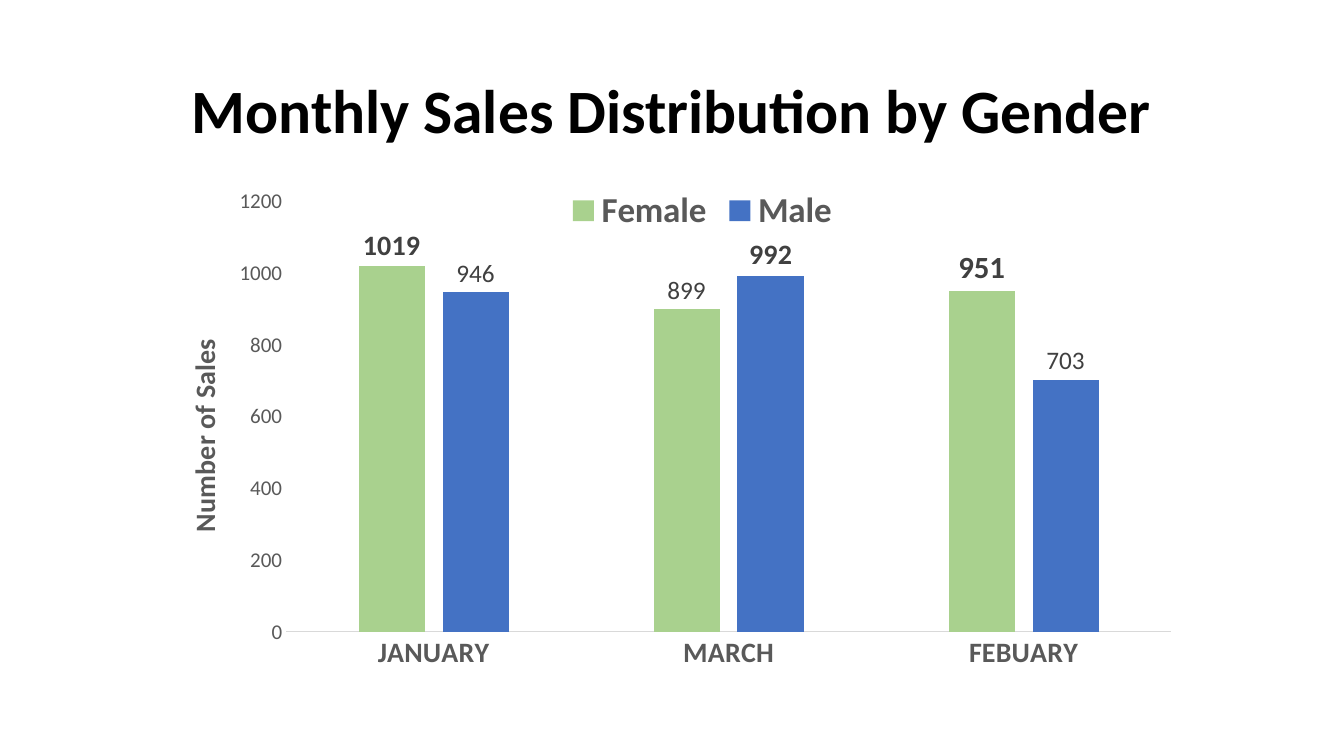
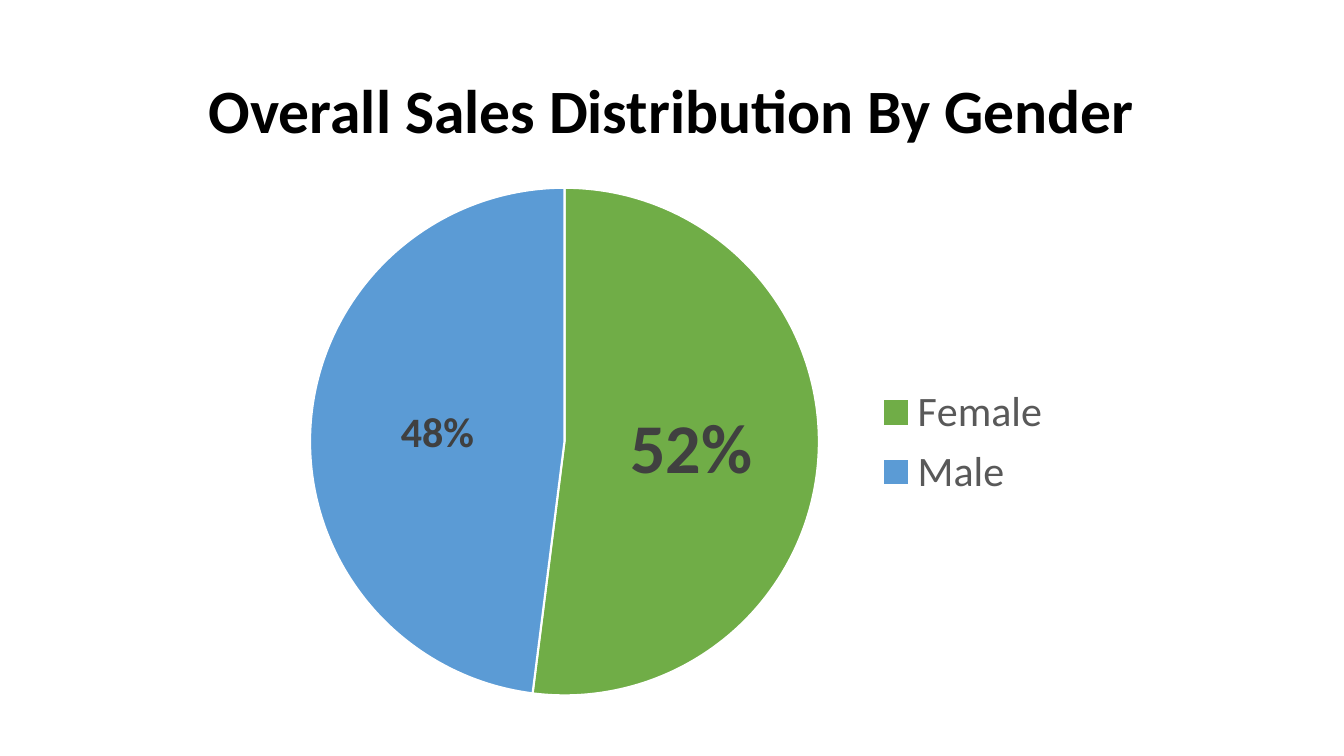
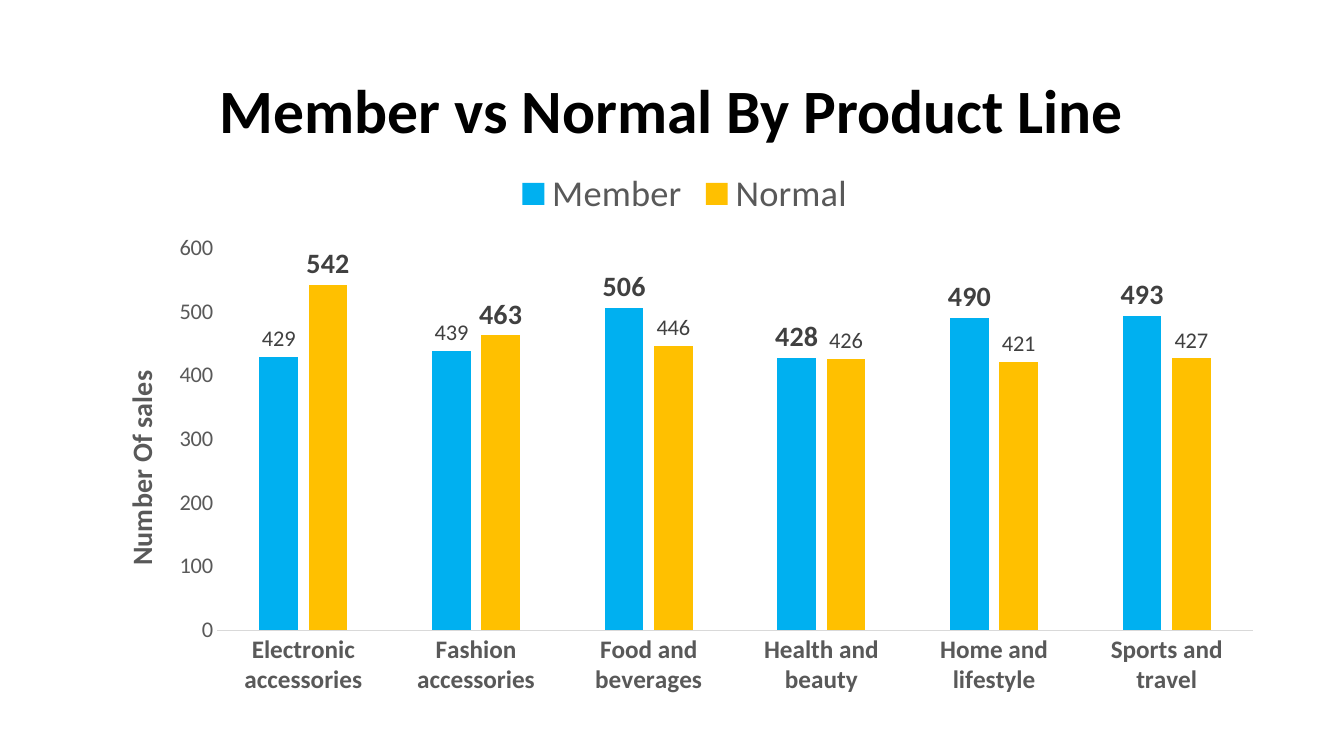
from dataclasses import dataclass

import pptx
import pptx.chart.data
import pptx.dml.color
import pptx.enum.chart
import pptx.enum.text
import pptx.oxml
import pptx.oxml.ns
import pptx.util

SLIDE_WIDTH = pptx.util.Inches(13.33)
SLIDE_HEIGHT = pptx.util.Inches(7.5)
CHART_TYPES = pptx.enum.chart.XL_CHART_TYPE
LABEL_POSITIONS = pptx.enum.chart.XL_LABEL_POSITION
LEGEND_POSITIONS = pptx.enum.chart.XL_LEGEND_POSITION


@dataclass(frozen=True)
class Theme:
    font: str = "Calibri"
    title: str = "000000"
    text: str = "595959"
    label: str = "404040"
    axis_line: str = "D9D9D9"
    slice_border: str = "FFFFFF"
    pale_green: str = "A9D18E"
    blue: str = "4472C4"
    green: str = "70AD47"
    sky: str = "5B9BD5"
    cyan: str = "00B0F0"
    amber: str = "FFC000"
    title_size: int = 44
    axis_title_size: int = 20
    pie_label_size: int = 30
    pie_highlight_size: int = 50


THEME = Theme()


@dataclass(frozen=True)
class ColumnSeries:
    name: str
    values: tuple
    color: str
    label_size: int
    highlights: dict  # point index -> size of its bold label


@dataclass(frozen=True)
class ColumnStyle:
    axis_title: str
    title_place: tuple
    plot_place: tuple
    maximum: int
    step: int
    category_size: int
    value_size: int
    legend_size: int
    legend_bold: bool


def rgb(color):
    return pptx.dml.color.RGBColor.from_string(color)


def style_font(font, size, color, bold=False):
    font.name = THEME.font
    font.size = pptx.util.Pt(size)
    font.bold = bold
    font.color.rgb = rgb(color)


def fill(format_, color):
    format_.fill.solid()
    format_.fill.fore_color.rgb = rgb(color)


def share_box(left, top, width, height):
    """Turn shares of the slide into lengths."""
    return (int(SLIDE_WIDTH * left), int(SLIDE_HEIGHT * top),
            int(SLIDE_WIDTH * width), int(SLIDE_HEIGHT * height))


def add_titled_slide(presentation, title):
    slide = presentation.slides.add_slide(presentation.slide_layouts[6])
    box = slide.shapes.add_textbox(*share_box(0.07, 0.053, 0.86, 0.193))
    frame = box.text_frame
    frame.word_wrap = True
    frame.vertical_anchor = pptx.enum.text.MSO_ANCHOR.MIDDLE
    paragraph = frame.paragraphs[0]
    paragraph.text = title
    paragraph.alignment = pptx.enum.text.PP_ALIGN.CENTER
    paragraph.line_spacing = 0.9
    style_font(paragraph.font, THEME.title_size, THEME.title, True)
    return slide


def place_in_chart(element, index, place, inner=False):
    """Fix a chart part by shares of the chart: x, y and optionally w, h."""
    for layout in element.findall(pptx.oxml.ns.qn("c:layout")):
        element.remove(layout)
    names = "xywh"[:len(place)]
    target = '<c:layoutTarget val="inner"/>' if inner else ""
    modes = "".join(f'<c:{name}Mode val="edge"/>' for name in "xy")
    sizes = "".join(f'<c:{name} val="{share}"/>' for name, share in zip(names, place))
    element.insert(index, pptx.oxml.parse_xml(
        f'<c:layout {pptx.oxml.ns.nsdecls("c")}><c:manualLayout>'
        f"{target}{modes}{sizes}</c:manualLayout></c:layout>"))


def add_chart(slide, kind, box, categories, series, plot_place):
    """Add a chart from (name, values) pairs."""
    data = pptx.chart.data.CategoryChartData()
    data.categories = categories
    for name, values in series:
        data.add_series(name, values)
    chart = slide.shapes.add_chart(kind, *share_box(*box), data).chart
    chart.has_title = False
    chart.font.name = THEME.font
    chart.font.size = pptx.util.Pt(10)
    plot_area = chart.element.find(".//" + pptx.oxml.ns.qn("c:plotArea"))
    place_in_chart(plot_area, 0, plot_place, inner=True)
    return chart


def add_legend(chart, position, size, bold=False):
    chart.has_legend = True
    chart.legend.position = position
    chart.legend.include_in_layout = False
    style_font(chart.legend.font, size, THEME.text, bold)


def label_series(series, size, highlights, position, bold=False, percent=False):
    labels = series.data_labels
    labels.show_value = not percent
    labels.show_percentage = percent
    labels.position = position
    style_font(labels.font, size, THEME.label, bold)
    for index, highlight_size in highlights.items():
        label = series.points[index].data_label
        style_font(label.font, highlight_size, THEME.label, highlight_size > size)
        label.position = position
    for point_label in labels._element.findall(pptx.oxml.ns.qn("c:dLbl")):
        for tag, shown in (("c:showVal", not percent), ("c:showPercent", percent)):
            point_label.find(pptx.oxml.ns.qn(tag)).set("val", str(int(shown)))


def style_axes(chart, style):
    category_axis, value_axis = chart.category_axis, chart.value_axis
    for axis in (category_axis, value_axis):
        axis.has_major_gridlines = False
        axis.major_tick_mark = axis.minor_tick_mark = pptx.enum.chart.XL_TICK_MARK.NONE
    style_font(category_axis.tick_labels.font, style.category_size, THEME.text, True)
    category_axis.format.line.color.rgb = rgb(THEME.axis_line)
    category_axis.format.line.width = pptx.util.Pt(0.75)

    style_font(value_axis.tick_labels.font, style.value_size, THEME.text)
    value_axis.format.line.fill.background()
    value_axis.minimum_scale = 0
    value_axis.maximum_scale = style.maximum
    value_axis.major_unit = style.step
    title = value_axis.axis_title
    paragraph = title.text_frame.paragraphs[0]
    paragraph.text = style.axis_title
    style_font(paragraph.font, THEME.axis_title_size, THEME.text, True)
    place_in_chart(title._element, 1, style.title_place)


def add_column_chart(slide, box, categories, columns, style):
    chart = add_chart(slide, CHART_TYPES.COLUMN_CLUSTERED, box, categories,
                      [(column.name, column.values) for column in columns],
                      style.plot_place)
    plot = chart.plots[0]
    plot.gap_width = 219
    plot.overlap = -27
    plot.vary_by_categories = False
    for series, column in zip(plot.series, columns):
        fill(series.format, column.color)
        label_series(series, column.label_size, column.highlights,
                     LABEL_POSITIONS.OUTSIDE_END)
    style_axes(chart, style)
    add_legend(chart, LEGEND_POSITIONS.TOP, style.legend_size, style.legend_bold)


def add_pie_chart(slide, box, slices, plot_place):
    """Add a pie from (name, value, color) slices; the first is highlighted."""
    names, values, colors = zip(*slices)
    chart = add_chart(slide, CHART_TYPES.PIE, box, names,
                      [("Series 1", values)], plot_place)
    plot = chart.plots[0]
    plot.vary_by_categories = True
    series = plot.series[0]
    for index, color in enumerate(colors):
        point_format = series.points[index].format
        fill(point_format, color)
        point_format.line.color.rgb = rgb(THEME.slice_border)
        point_format.line.width = pptx.util.Pt(1.5)
    label_series(series, THEME.pie_label_size, {0: THEME.pie_highlight_size},
                 LABEL_POSITIONS.CENTER, bold=True, percent=True)
    add_legend(chart, LEGEND_POSITIONS.RIGHT, 30)


def main():
    presentation = pptx.Presentation()
    presentation.slide_width = SLIDE_WIDTH
    presentation.slide_height = SLIDE_HEIGHT

    slide = add_titled_slide(presentation, "Monthly Sales Distribution by Gender")
    add_column_chart(
        slide, (0.113, 0.232, 0.819, 0.676), ("JANUARY", "MARCH", "FEBUARY"),
        (ColumnSeries("Female", (1019, 899, 951), THEME.pale_green, 18, {0: 20, 2: 22}),
         ColumnSeries("Male", (946, 992, 703), THEME.blue, 18, {1: 20})),
        ColumnStyle("Number of Sales", (0.025, 0.31), (0.122, 0.051, 0.804, 0.842),
                    1200, 200, 20, 15, 25, True))

    slide = add_titled_slide(presentation, "Overall Sales Distribution By Gender")
    add_pie_chart(slide, (0.209, 0.247, 0.583, 0.675),
                  (("Female", 52, THEME.green), ("Male", 48, THEME.sky)),
                  (0.037, 0, 0.65, 0.997))

    slide = add_titled_slide(presentation, "Member vs Normal By Product Line")
    add_column_chart(
        slide, (0.069, 0.208, 0.881, 0.725),
        ("Electronic accessories", "Fashion accessories", "Food and beverages",
         "Health and beauty", "Home and lifestyle", "Sports and travel"),
        (ColumnSeries("Member", (429, 439, 506, 428, 490, 493), THEME.cyan, 16,
                      dict.fromkeys(range(2, 6), 20)),
         ColumnSeries("Normal", (542, 463, 446, 426, 421, 427), THEME.amber, 16,
                      dict.fromkeys(range(2), 20))),
        ColumnStyle("Number Of sales", (0.02, 0.38), (0.105, 0.166, 0.875, 0.697),
                    600, 100, 18, 16, 26, False))

    presentation.save("out.pptx")


if __name__ == "__main__":
    main()
